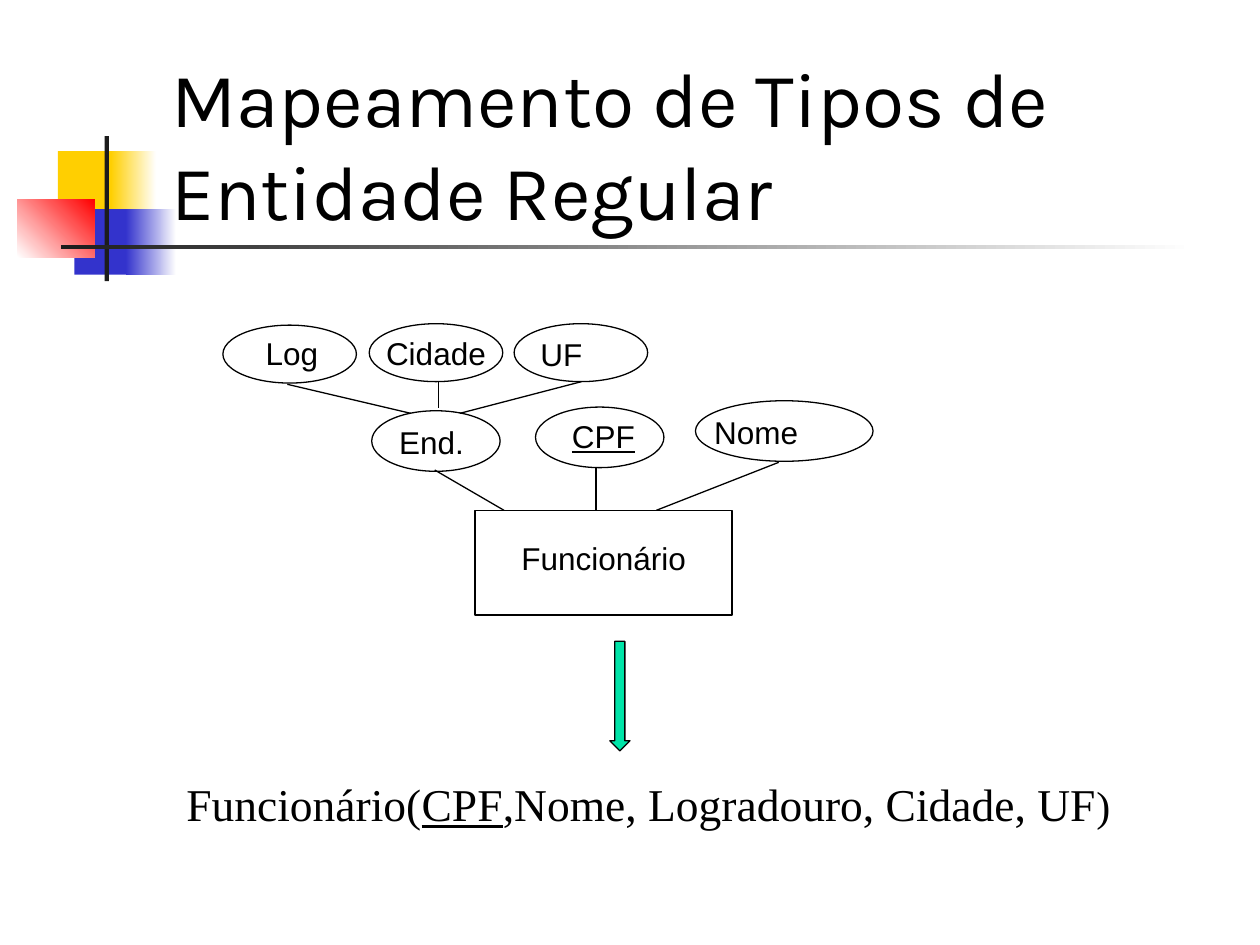
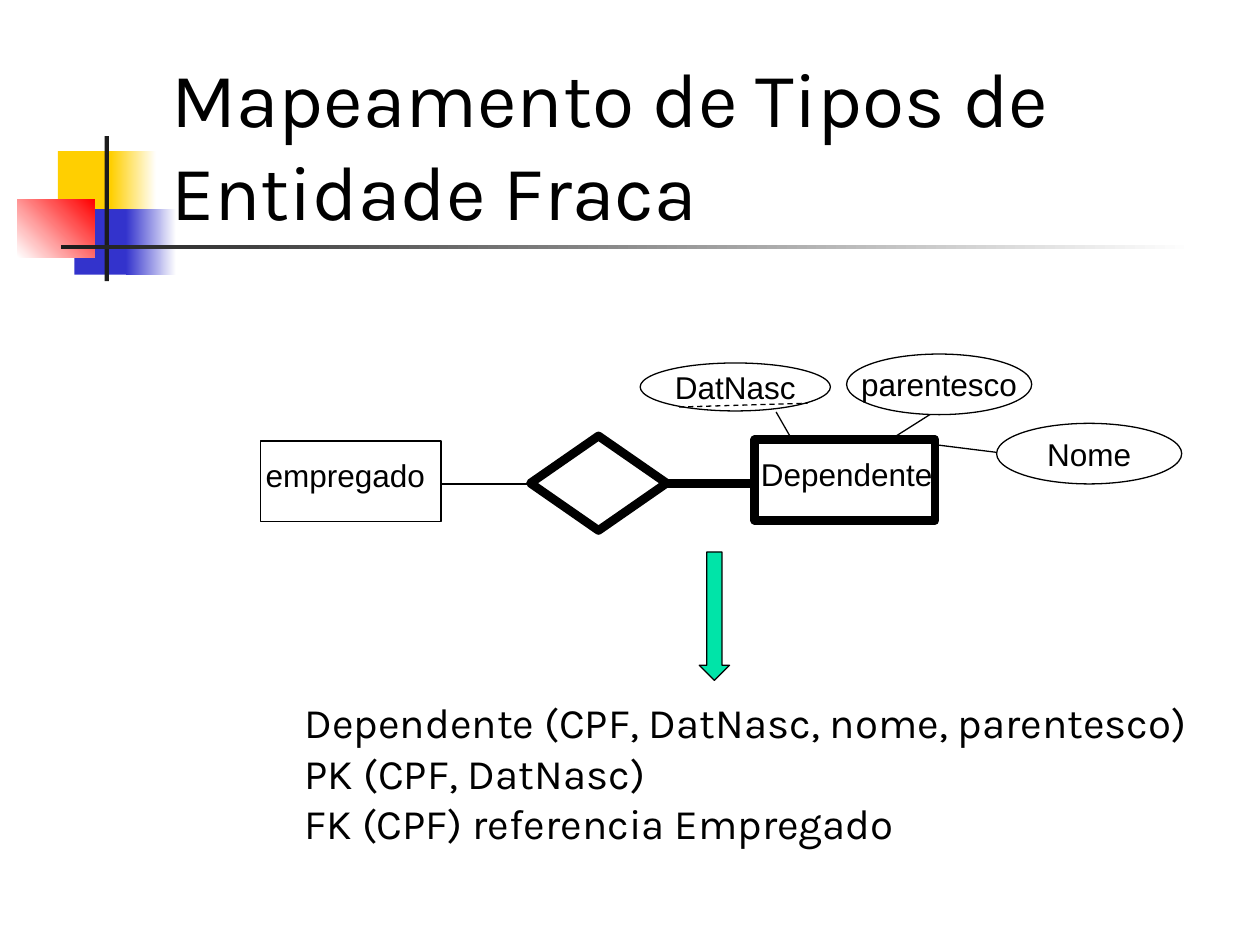
from lxml.etree import SubElement
from pptx import Presentation
from pptx.dml.color import RGBColor
from pptx.enum.dml import MSO_LINE
from pptx.enum.shapes import MSO_CONNECTOR, MSO_SHAPE
from pptx.enum.text import MSO_ANCHOR, PP_ALIGN
from pptx.oxml.ns import qn
from pptx.util import Pt

BLACK, WHITE, YELLOW, BLUE = "000000", "FFFFFF", "FFCF01", "3333CC"
RED, CHARCOAL, GREEN = "FF0000", "1C1C1C", "00E4A8"
THIN, THICK = 0.75, 5
TITLE_FRAME = (90.7, 48.2, 613.4, 90)
LABEL_SIZE = (130, 28.8)

BAND = [
    ((33.1, 86.4, 34.6, 37.4), [YELLOW], 0),
    ((63.4, 86.4, 25.9, 37.4), [YELLOW, WHITE], 0),
    ((42.5, 119.5, 33.1, 37.4), [BLUE], 0),
    ((72, 119.5, 28.8, 37.4), [BLUE, WHITE], 0),
    ((10, 113.8, 44, 33.1), [WHITE, RED], 45),
    ((59.8, 77.8, 2.4, 82.8), [CHARCOAL], 0),
    ((34.6, 140, 648, 2.4), [CHARCOAL, WHITE], 0),
]

OVAL, BOX, DIAMOND = MSO_SHAPE.OVAL, MSO_SHAPE.RECTANGLE, MSO_SHAPE.FLOWCHART_DECISION

SLIDES = [
    {
        "title": "Mapeamento de Tipos de Entidade Regular",
        "nodes": [
            (BOX, (271.4, 291.6, 146.9, 59.8), THIN, "Funcionário", (290.9, 304.6)),
            (OVAL, (306, 232.6, 73.4, 34.6), THIN, "CPF", (319.7, 234.7)),
            (OVAL, (397.4, 229, 101.5, 34.6), THIN, "Nome", (401, 232.6)),
            (OVAL, (212.4, 234.7, 73.4, 34.6), THIN, "End.", (221, 238.3)),
            (OVAL, (211, 185, 76.3, 33.1), THIN, "Cidade", None),
            (OVAL, (127.4, 185.8, 76.3, 33.1), THIN, "Log", (144.7, 187.2)),
            (OVAL, (293.8, 185, 76.3, 33.1), THIN, "UF", (301.7, 187.9)),
        ],
        "keys": ["CPF"],
        "links": [
            (248.4, 268.6, 288, 291.6, THIN),
            (340.6, 267.1, 340.6, 291.6, THIN),
            (445, 264.2, 375.1, 291.6, THIN),
            (164.2, 219.6, 234.7, 236.2, THIN),
            (250.6, 218.2, 250.6, 233.3, THIN),
            (331.9, 218.2, 262.8, 236.2, THIN),
        ],
        "dashes": [],
        "arrow": (348.5, 366.5, 11.5, 62.6),
        "schema_frame": (99.4, 439.9, 545, 38.9),
        "schema_font": "Times New Roman",
        "schema": [
            [("Funcionário(", 26, False), ("CPF", 26, True),
             (",Nome, Logradouro, Cidade, UF", 26, False), (")", 24, False)],
        ],
    },
    {
        "title": "Mapeamento de Tipos de Entidade Fraca",
        "nodes": [
            (BOX, (149, 252, 103, 46.1), THIN, "empregado", (144.7, 257)),
            (BOX, (431.3, 251.3, 103, 46.1), THICK, "Dependente", (427.7, 256.3)),
            (DIAMOND, (303.1, 249.1, 77.8, 54), THICK, "", None),
            (OVAL, (365.8, 207.4, 108.7, 27.4), THIN, "DatNasc", None),
            (OVAL, (483.8, 202.3, 105.8, 34.6), THIN, "parentesco", None),
            (OVAL, (569.5, 241.9, 105.8, 34.6), THIN, "Nome", None),
        ],
        "keys": [],
        "links": [
            (252, 276.5, 303.1, 276.5, THIN),
            (380.2, 276.5, 432, 276.5, THICK),
            (443.5, 235.4, 452.2, 250.6, THIN),
            (531.4, 236.9, 509.8, 250.6, THIN),
            (535, 254.2, 569.5, 258.5, THIN),
        ],
        "dashes": [(388.1, 232.6, 461.5, 230.4, THIN)],
        "arrow": (399.6, 315.4, 17.3, 73.4),
        "schema_frame": (167, 394.6, 532.8, 122.4),
        "schema_font": "Karla",
        "schema": [
            [("Dependente (CPF, DatNasc, nome, parentesco)", 24, False)],
            [("PK (CPF, DatNasc)", 24, False)],
            [("FK (CPF) referencia Empregado", 24, False)],
        ],
    },
]


def color(value):
    return RGBColor.from_string(value)


def points(values):
    return [Pt(value) for value in values]


def paint(fill, colors, angle=0):
    if len(colors) == 1:
        fill.solid()
        fill.fore_color.rgb = color(colors[0])
        return
    fill.gradient()
    fill.gradient_angle = angle
    for stop, value in zip(fill.gradient_stops, colors):
        stop.color.rgb = color(value)


def add_figure(page, kind, frame, colors=(), angle=0, weight=0):
    figure = page.shapes.add_shape(kind, *points(frame))
    figure.shadow.inherit = False
    if colors:
        paint(figure.fill, colors, angle)
    else:
        figure.fill.background()
    if weight:
        figure.line.color.rgb = color(BLACK)
        figure.line.width = Pt(weight)
    else:
        figure.line.fill.background()
    return figure


def style(paragraph, name, size):
    paragraph.font.name = name
    paragraph.font.size = Pt(size)
    paragraph.font.color.rgb = color(BLACK)


def add_text(page, frame, text, name, size):
    box = page.shapes.add_textbox(*points(frame))
    box.text_frame.word_wrap = True
    paragraph = box.text_frame.paragraphs[0]
    paragraph.text = text
    style(paragraph, name, size)
    return box.text_frame


def add_node(page, kind, frame, weight, text, corner, is_key):
    node = add_figure(page, kind, frame, weight=weight)
    if corner:
        label = add_text(page, corner + LABEL_SIZE, text, "Arial", 18)
        label.paragraphs[0].font.underline = is_key
    elif text:
        node.text_frame.word_wrap = False
        node.text_frame.vertical_anchor = MSO_ANCHOR.MIDDLE
        paragraph = node.text_frame.paragraphs[0]
        paragraph.text = text
        paragraph.alignment = PP_ALIGN.CENTER
        style(paragraph, "Arial", 18)


def add_link(page, ends, weight, dashed=False):
    link = page.shapes.add_connector(MSO_CONNECTOR.STRAIGHT, *points(ends))
    link.line.color.rgb = color(BLACK)
    link.line.width = Pt(weight)
    if dashed:
        link.line.dash_style = MSO_LINE.DASH
    SubElement(link._element.spPr, qn("a:effectLst"))


def add_schema(page, frame, name, lines):
    box = page.shapes.add_textbox(*points(frame))
    box.text_frame.word_wrap = True
    for index, line in enumerate(lines):
        paragraph = box.text_frame.add_paragraph() if index else box.text_frame.paragraphs[0]
        style(paragraph, name, line[0][1])
        for text, size, underlined in line:
            span = paragraph.add_run()
            span.text = text
            span.font.size = Pt(size)
            span.font.underline = underlined


def build_slide(deck, content):
    page = deck.slides.add_slide(deck.slide_layouts[6])
    for frame, colors, angle in BAND:
        add_figure(page, BOX, frame, colors, angle)
    title = add_text(page, TITLE_FRAME, content["title"], "Karla", 44)
    title.vertical_anchor = MSO_ANCHOR.BOTTOM
    for kind, frame, weight, text, corner in content["nodes"]:
        add_node(page, kind, frame, weight, text, corner, text in content["keys"])
    for *ends, weight in content["links"]:
        add_link(page, ends, weight)
    for *ends, weight in content["dashes"]:
        add_link(page, ends, weight, dashed=True)
    add_figure(page, MSO_SHAPE.DOWN_ARROW, content["arrow"], [GREEN], weight=THIN)
    add_schema(page, content["schema_frame"], content["schema_font"], content["schema"])


def main():
    deck = Presentation()
    deck.slide_width, deck.slide_height = Pt(720), Pt(540)
    for content in SLIDES:
        build_slide(deck, content)
    deck.save("out.pptx")


if __name__ == "__main__":
    main()
